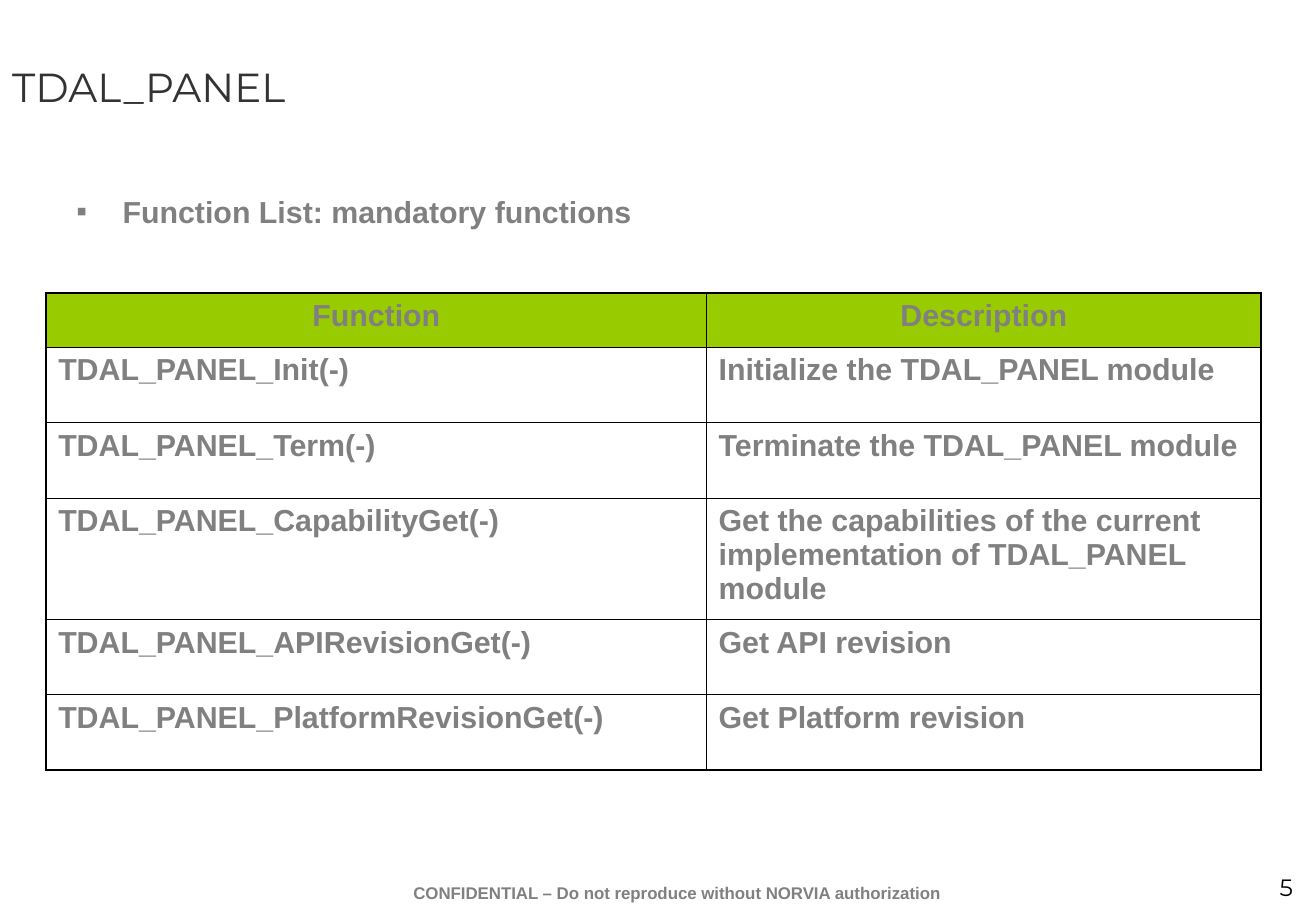
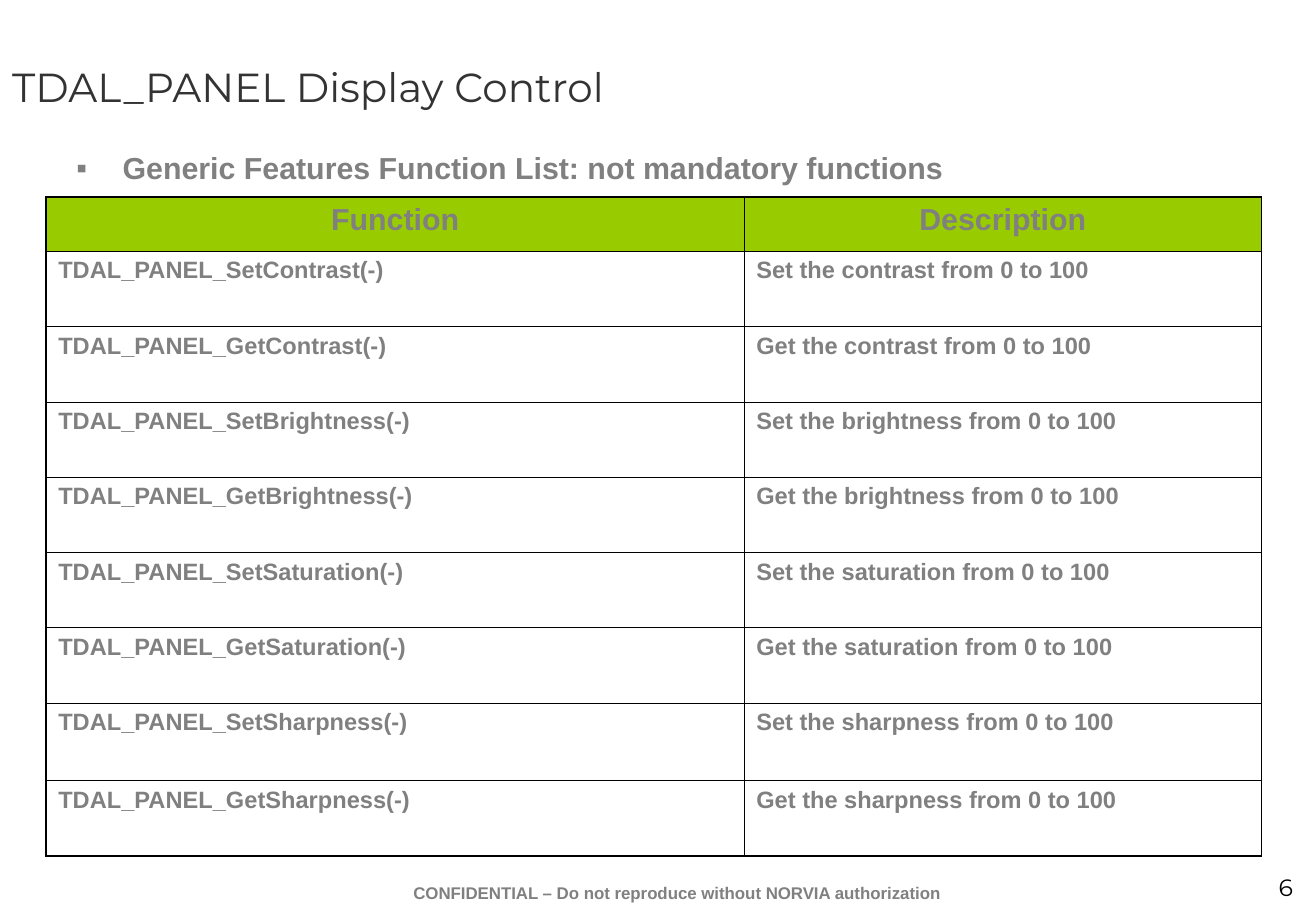
from lxml.etree import SubElement
from pptx import Presentation
from pptx.dml.color import RGBColor
from pptx.enum.text import MSO_ANCHOR as Anchor, MSO_AUTO_SIZE as AutoSize, PP_ALIGN as Align
from pptx.oxml import parse_xml
from pptx.oxml.ns import nsdecls, qn
from pptx.util import Inches, Pt

BLACK = RGBColor(0x00, 0x00, 0x00)
CHARCOAL = RGBColor(0x33, 0x33, 0x33)
GREY = RGBColor(0x80, 0x80, 0x80)
LIME = RGBColor(0x99, 0xCC, 0x00)

TITLE_FORMAT = {"name": "Montserrat", "size": Pt(24), "bold": False, "color": CHARCOAL}
NUMBER_FORMAT = {"name": "Montserrat", "size": Pt(14), "bold": False, "color": BLACK}
FOOTER_FORMAT = {"name": "Arial", "size": Pt(10), "bold": True, "color": GREY}
LIST_FORMAT = {"name": "Arial", "size": Pt(18), "bold": True, "color": GREY}
SMALL_FORMAT = {**LIST_FORMAT, "size": Pt(14)}

TITLE_BOX = (0, 0, 10.83, 1.42)
FOOTER_BOX = (2.66, 7.22, 5.83, 0.28)
NUMBER_BOX = (9.59, 7.14, 1.16, 0.33)
FOOTER = "CONFIDENTIAL – Do not reproduce without NORVIA authorization"
HEADINGS = ("Function", "Description")
HEADER_HEIGHT, ROW_HEIGHT = 0.45, 0.62
OUTER_LINE, INNER_LINE = Pt(1.08), Pt(0.45)

MANDATORY = [
    ("TDAL_PANEL_Init(-)", "Initialize the TDAL_PANEL module"),
    ("TDAL_PANEL_Term(-)", "Terminate the TDAL_PANEL module"),
    ("TDAL_PANEL_CapabilityGet(-)",
     "Get the capabilities of the current implementation of TDAL_PANEL module"),
    ("TDAL_PANEL_APIRevisionGet(-)", "Get API revision"),
    ("TDAL_PANEL_PlatformRevisionGet(-)", "Get Platform revision"),
]
DISPLAY_CONTROL = [
    (f"TDAL_PANEL_{verb}{feature}(-)", f"{verb} the {feature.lower()} from 0 to 100")
    for feature in ("Contrast", "Brightness", "Saturation", "Sharpness")
    for verb in ("Set", "Get")
]


def write(frame, text, style, align=Align.LEFT):
    """Put one formatted paragraph into a text frame."""
    frame.word_wrap = True
    paragraph = frame.paragraphs[0]
    run = paragraph.add_run()
    run.text = text
    paragraph.alignment = align
    for key, value in style.items():
        if key == "color":
            run.font.color.rgb = value
        else:
            setattr(run.font, key, value)
    return paragraph


def place(shape, box):
    """Move a shape to a box given in inches."""
    for side, length in zip(("left", "top", "width", "height"), box):
        setattr(shape, side, Inches(length))


def add_title(slide, text, box):
    """Fill the title placeholder."""
    title = slide.shapes.title
    place(title, box)
    title.text_frame.vertical_anchor = Anchor.MIDDLE
    title.text_frame.auto_size = AutoSize.NONE
    write(title.text_frame, text, TITLE_FORMAT)


def add_list(slide, text, box):
    """Fill the body placeholder with one square-bulleted line."""
    body = slide.placeholders[1]
    place(body, box)
    body.text_frame.auto_size = AutoSize.NONE
    paragraph = write(body.text_frame, text, LIST_FORMAT)
    paragraph.space_before = Pt(0)
    properties = paragraph._p.get_or_add_pPr()
    properties.set("marL", str(Inches(0.38)))
    properties.set("indent", str(-Inches(0.38)))
    bullet_color = SubElement(properties, qn("a:buClr"))
    SubElement(bullet_color, qn("a:srgbClr"), val=str(GREY))
    SubElement(properties, qn("a:buChar"), char="▪")


def add_footer(slide, number):
    """Add the page number and the confidentiality line."""
    for text, box, style, align in (
        (str(number), NUMBER_BOX, NUMBER_FORMAT, Align.RIGHT),
        (FOOTER, FOOTER_BOX, FOOTER_FORMAT, Align.CENTER),
    ):
        line = slide.shapes.add_textbox(*map(Inches, box))
        write(line.text_frame, text, style, align)


def set_borders(cell, widths):
    """Draw the left, right, top and bottom borders of a cell."""
    properties = cell._tc.get_or_add_tcPr()
    for index, (side, width) in enumerate(zip("LRTB", widths)):
        properties.insert(index, parse_xml(
            f'<a:ln{side} {nsdecls("a")} w="{int(width)}"><a:solidFill>'
            f'<a:srgbClr val="{BLACK}"/></a:solidFill></a:ln{side}>'))


def add_function_table(slide, functions, corner, widths, style, tall_rows):
    """Add the function table with a lime header row."""
    rows = [HEADINGS, *functions]
    heights = [HEADER_HEIGHT] + [ROW_HEIGHT] * len(functions)
    for index, height in tall_rows.items():
        heights[index] = height
    box = (*corner, sum(widths), sum(heights))
    table = slide.shapes.add_table(len(rows), len(widths), *map(Inches, box)).table
    table.first_row = table.horz_banding = False
    for column, width in zip(table.columns, widths):
        column.width = Inches(width)
    for r, (row, height) in enumerate(zip(rows, heights)):
        table.rows[r].height = Inches(height)
        for c, text in enumerate(row):
            cell = table.cell(r, c)
            if r == 0:
                cell.fill.solid()
                cell.fill.fore_color.rgb = LIME
                write(cell.text_frame, text, LIST_FORMAT, Align.CENTER)
            else:
                cell.fill.background()
                write(cell.text_frame, text, style)
            outer = (c == 0, c == len(widths) - 1, r == 0, r == len(rows) - 1)
            set_borders(cell, [OUTER_LINE if edge else INNER_LINE for edge in outer])


def add_function_slide(deck, number, title, heading, list_top, table):
    """Add one slide with title, list line, function table and footer."""
    slide = deck.slides.add_slide(deck.slide_layouts[1])
    add_title(slide, title, TITLE_BOX)
    add_list(slide, heading, (0.53, list_top, 9.91, 0.42))
    add_function_table(slide, **table)
    add_footer(slide, number)


def main():
    """Build and save the deck."""
    deck = Presentation()
    deck.slide_width, deck.slide_height = Inches(10.84), Inches(7.5)
    add_function_slide(
        deck, 5, "TDAL_PANEL", "Function List: mandatory functions", 1.54,
        {"functions": MANDATORY, "corner": (0.38, 2.41), "widths": (5.44, 4.57),
         "style": LIST_FORMAT, "tall_rows": {3: 1}})
    add_function_slide(
        deck, 6, "TDAL_PANEL Display Control",
        "Generic Features Function List: not mandatory functions", 1.18,
        {"functions": DISPLAY_CONTROL, "corner": (0.38, 1.62), "widths": (5.75, 4.26),
         "style": SMALL_FORMAT, "tall_rows": {7: 0.64}})
    deck.save("out.pptx")


if __name__ == "__main__":
    main()
